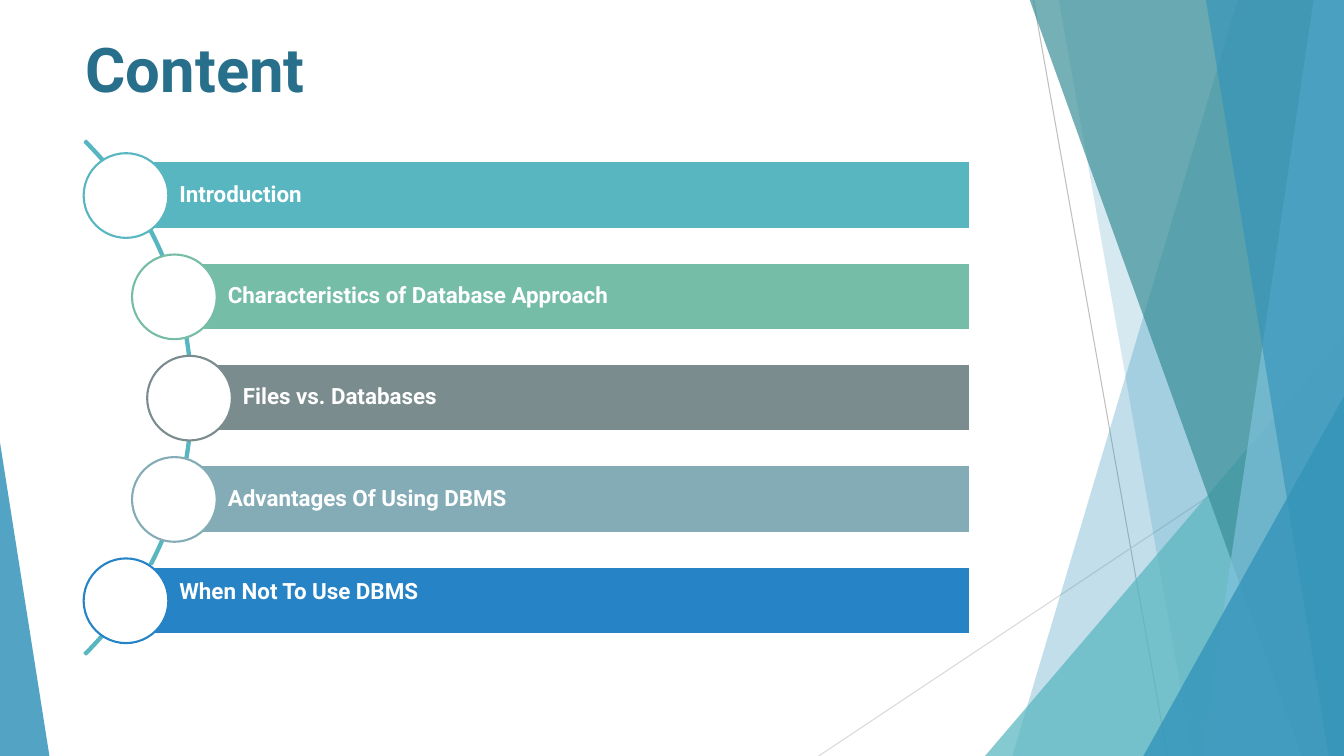
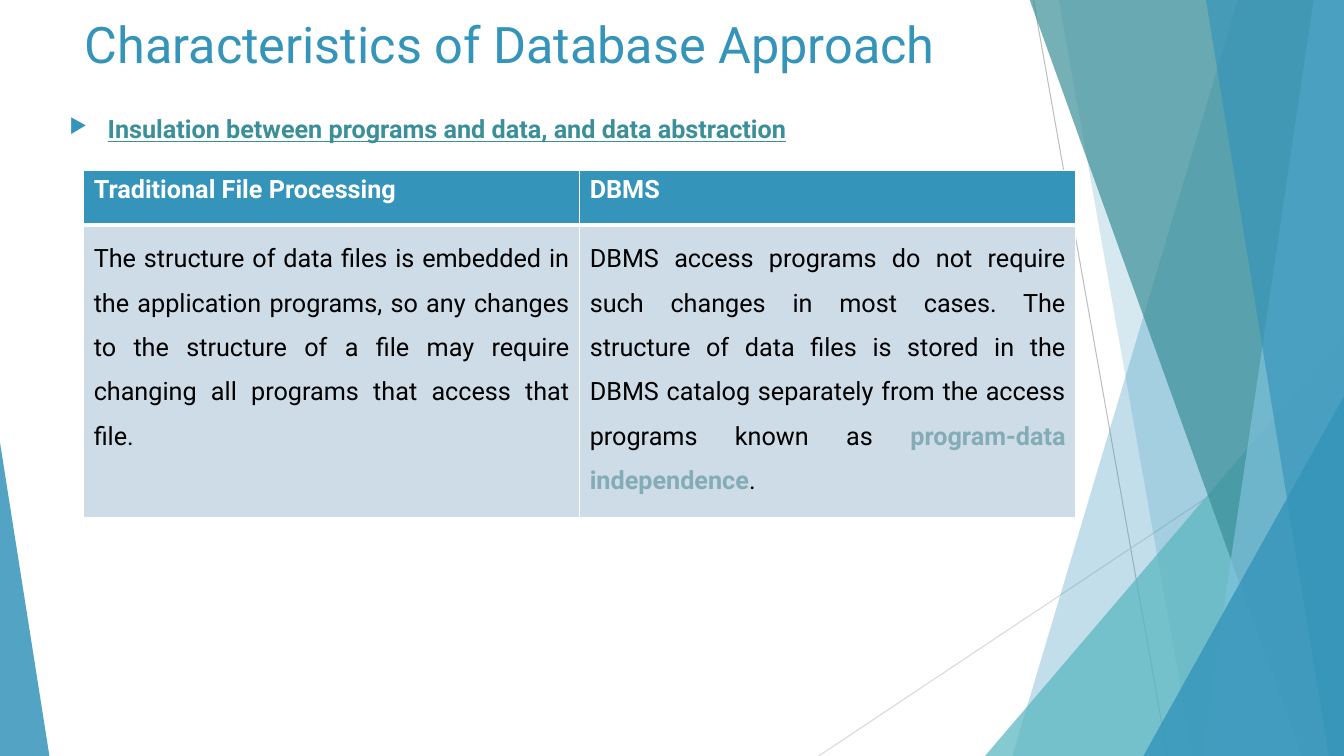
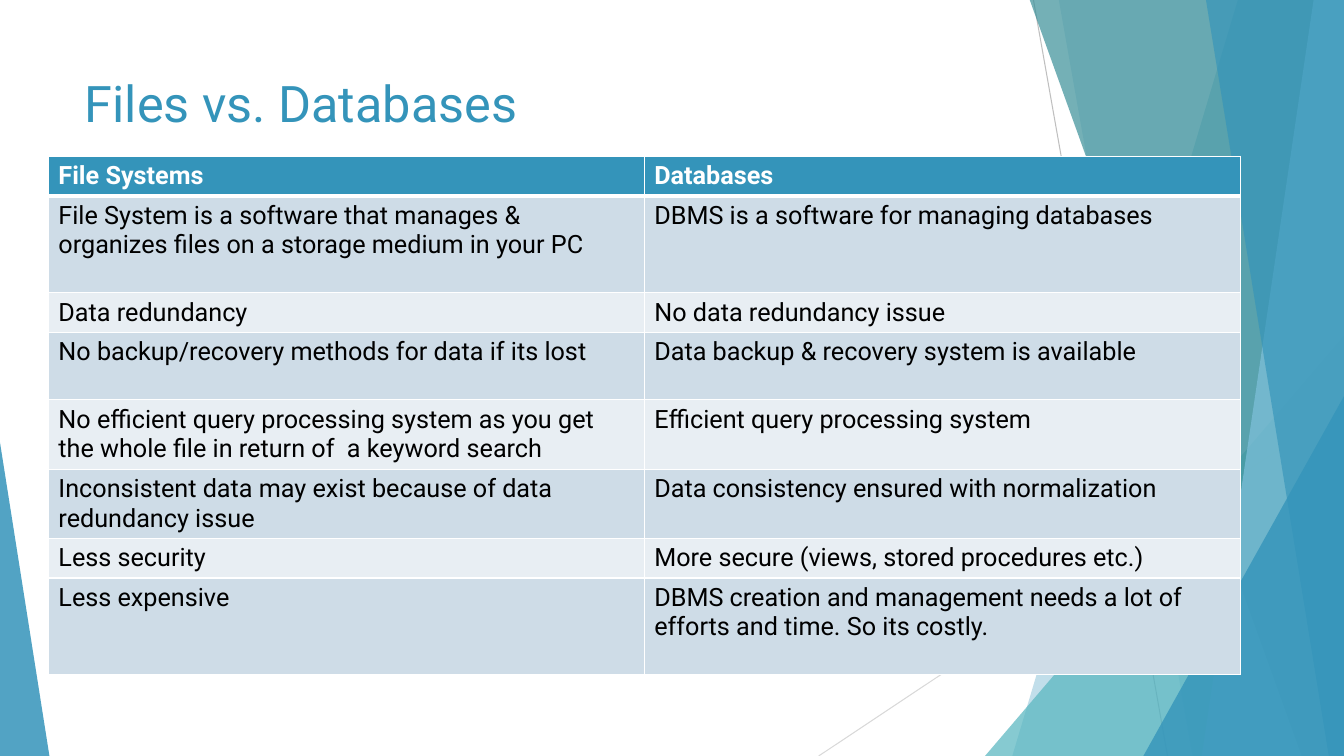
from dataclasses import dataclass
from typing import Any, Optional, Union

from lxml import etree
from pptx import Presentation
from pptx.dml.color import RGBColor
from pptx.enum.shapes import MSO_CONNECTOR, MSO_SHAPE
from pptx.enum.text import MSO_ANCHOR, MSO_AUTO_SIZE, PP_ALIGN
from pptx.oxml.ns import qn
from pptx.util import Inches, Pt

STRAIGHT = MSO_CONNECTOR.STRAIGHT
ARC = MSO_SHAPE.BLOCK_ARC
RECTANGLE = MSO_SHAPE.RECTANGLE
OVAL = MSO_SHAPE.OVAL
TRIANGLE = MSO_SHAPE.ISOSCELES_TRIANGLE
TOP, MIDDLE = MSO_ANCHOR.TOP, MSO_ANCHOR.MIDDLE
LEFT, JUSTIFY = PP_ALIGN.LEFT, PP_ALIGN.JUSTIFY
NO_AUTOFIT = MSO_AUTO_SIZE.NONE

SLIDE_WIDTH, SLIDE_HEIGHT = 13.33, 7.5
TITLE_ONLY = 5


@dataclass(frozen=True)
class Theme:
    """Colours, font and type sizes of the deck."""

    font: str = "Roboto"
    white: str = "FFFFFF"
    black: str = "000000"
    blue: str = "3494BA"
    dark_blue: str = "276F8B"
    light_blue: str = "7FC1DB"
    bright_blue: str = "2683C6"
    turquoise: str = "58B6C0"
    teal: str = "3A8F98"
    green: str = "75BDA7"
    slate: str = "7A8C8E"
    mist: str = "84ACB6"
    grey: str = "BFBFBF"
    pale_grey: str = "D9D9D9"
    bands: tuple[str, str] = ("CEDCE7", "E8EEF3")
    heading_size: float = 44
    title_size: float = 36
    body_size: float = 18
    agenda_size: float = 16


THEME = Theme()


@dataclass(frozen=True)
class Ray:
    """A thin line of the backdrop."""

    start: tuple[float, float]
    end: tuple[float, float]
    color: str


@dataclass(frozen=True)
class Facet:
    """A translucent full-height pane with its top and bottom edges."""

    top: tuple[float, float]
    bottom: tuple[float, float]
    color: str
    opacity: int


@dataclass(frozen=True)
class Wedge:
    """A translucent right triangle standing on the slide's lower edge."""

    left: float
    top: float
    width: float
    apex: float
    color: str
    opacity: int


@dataclass(frozen=True)
class AgendaItem:
    """One agenda bar with its circle."""

    text: str
    left: float
    color: str
    bottom_inset: float = 0.04


@dataclass(frozen=True)
class Comparison:
    """A two-column table with a header row."""

    left: float
    top: float
    column_width: float
    row_heights: tuple[float, ...]
    rows: tuple[tuple[str, str], ...]
    alignment: PP_ALIGN = LEFT
    line_spacing: Optional[float] = None
    emphasis: str = ""


BACKDROP: tuple[Union[Ray, Facet, Wedge], ...] = (
    Ray((10.25, 0), (11.58, SLIDE_HEIGHT), THEME.grey),
    Ray((SLIDE_WIDTH, 4.03), (8.12, SLIDE_HEIGHT), THEME.pale_grey),
    Facet((12.28, SLIDE_WIDTH), (10.04, SLIDE_WIDTH), THEME.blue, 30),
    Facet((10.5, SLIDE_WIDTH), (11.83, SLIDE_WIDTH), THEME.blue, 20),
    Wedge(9.77, 3.33, 3.56, 1, THEME.turquoise, 72),
    Facet((10.21, SLIDE_WIDTH), (12.91, SLIDE_WIDTH), THEME.teal, 70),
    Facet((13.03, SLIDE_WIDTH), (11.92, SLIDE_WIDTH), THEME.light_blue, 70),
    Facet((11.96, SLIDE_WIDTH), (13.18, SLIDE_WIDTH), THEME.blue, 65),
    Wedge(11.34, 3.93, 1.99, 1, THEME.blue, 80),
    Wedge(0, 4.39, 0.49, 0, THEME.blue, 85),
)

AGENDA = (
    AgendaItem("Introduction", 1.25, THEME.turquoise),
    AgendaItem("Characteristics of Database Approach", 1.73, THEME.green),
    AgendaItem("Files vs. Databases", 1.88, THEME.slate),
    AgendaItem("Advantages Of Using DBMS", 1.73, THEME.mist),
    AgendaItem("When Not To Use DBMS", 1.25, THEME.bright_blue, 0.2),
)

INSULATION = Comparison(
    left=0.83,
    top=1.69,
    column_width=4.92,
    row_heights=(0.54, 2.91),
    rows=(
        ("Traditional File Processing", "DBMS"),
        (
            "The structure of data files is embedded in the application programs, so any "
            "changes to the structure of a file may require changing all programs that "
            "access that file.",
            "DBMS access programs do not require such changes in most cases. The structure "
            "of data files is stored in the DBMS catalog separately from the access "
            "programs known as program-data independence.",
        ),
    ),
    alignment=JUSTIFY,
    line_spacing=1.5,
    emphasis="program-data independence",
)

FILES_DATABASES = Comparison(
    left=0.48,
    top=1.55,
    column_width=5.91,
    row_heights=(0.39, 0.96, 0.39, 0.67, 0.67, 0.67, 0.39, 0.96),
    rows=(
        ("File Systems", "Databases"),
        (
            "File System is a software that manages & organizes files on a storage medium in your PC",
            "DBMS is a software for managing databases",
        ),
        ("Data redundancy", "No data redundancy issue"),
        (
            "No backup/recovery methods for data if its lost",
            "Data backup & recovery system is available",
        ),
        (
            "No efficient query processing system as you get the whole file in return of  a keyword search",
            "Efficient query processing system",
        ),
        (
            "Inconsistent data may exist because of data redundancy issue",
            "Data consistency ensured with normalization",
        ),
        ("Less security", "More secure (views, stored procedures etc.)"),
        (
            "Less expensive",
            "DBMS creation and management needs a lot of efforts and time. So its costly.",
        ),
    ),
)


def rgb(color: str) -> RGBColor:
    """Turn a hexadecimal colour into a colour object."""
    return RGBColor.from_string(color)


def box(left: float, top: float, width: float, height: float) -> tuple[Inches, ...]:
    """Give a position and size as lengths."""
    return Inches(left), Inches(top), Inches(width), Inches(height)


def write_text(
    frame: Any,
    text: str,
    *,
    size: float = THEME.body_size,
    color: str = THEME.black,
    bold: bool = False,
    underline: bool = False,
    alignment: PP_ALIGN = LEFT,
    line_spacing: Optional[float] = None,
) -> None:
    """Append formatted text to the first paragraph of a frame."""
    paragraph = frame.paragraphs[0]
    paragraph.alignment = alignment
    paragraph.line_spacing = line_spacing
    run = paragraph.add_run()
    run.text = text
    run.font.name = THEME.font
    run.font.size = Pt(size)
    run.font.color.rgb = rgb(color)
    run.font.bold = bold
    run.font.underline = underline


def style_shape(
    shape: Any, *, fill: Optional[str] = None, line: Optional[str] = None, opacity: int = 100
) -> None:
    """Set the fill, outline and opacity of a shape without shadow."""
    shape.shadow.inherit = False
    if fill:
        shape.fill.solid()
        shape.fill.fore_color.rgb = rgb(fill)
        if opacity < 100:
            color = shape.element.spPr.find(qn("a:solidFill")).find(qn("a:srgbClr"))
            etree.SubElement(color, qn("a:alpha"), val=str(opacity * 1000))
    else:
        shape.fill.background()
    if line:
        shape.line.color.rgb = rgb(line)
        shape.line.width = Pt(1.5)
    else:
        shape.line.fill.background()


def draw_ray(slide: Any, ray: Ray) -> Any:
    """Draw a backdrop line."""
    points = [Inches(value) for value in ray.start + ray.end]
    connector = slide.shapes.add_connector(STRAIGHT, *points)
    connector.line.color.rgb = rgb(ray.color)
    connector.line.width = Pt(0.75)
    etree.SubElement(connector.element.spPr, qn("a:effectLst"))
    return connector


def draw_facet(slide: Any, facet: Facet) -> Any:
    """Draw a backdrop pane."""
    head, foot = Inches(-0.01), Inches(SLIDE_HEIGHT)
    top_left, top_right = map(Inches, facet.top)
    bottom_left, bottom_right = map(Inches, facet.bottom)
    builder = slide.shapes.build_freeform(top_left, head)
    builder.add_line_segments(
        [(top_right, head), (bottom_right, foot), (bottom_left, foot)], close=True
    )
    shape = builder.convert_to_shape()
    style_shape(shape, fill=facet.color, opacity=facet.opacity)
    return shape


def draw_wedge(slide: Any, wedge: Wedge) -> Any:
    """Draw a backdrop triangle."""
    height = SLIDE_HEIGHT - wedge.top
    shape = slide.shapes.add_shape(TRIANGLE, *box(wedge.left, wedge.top, wedge.width, height))
    shape.adjustments[0] = wedge.apex
    style_shape(shape, fill=wedge.color, opacity=wedge.opacity)
    return shape


def install_backdrop(slide: Any) -> None:
    """Draw the backdrop and move it into the slide's layout, behind everything."""
    painters = {Ray: draw_ray, Facet: draw_facet, Wedge: draw_wedge}
    layout_tree = slide.slide_layout.shapes.element
    for index, part in enumerate(BACKDROP):
        element = painters[type(part)](slide, part).element
        element.find(".//" + qn("p:cNvPr")).set("id", str(100 + index))
        layout_tree.insert(2 + index, element)


def add_title(
    slide: Any,
    text: str,
    left: float,
    top: float,
    width: float,
    height: float,
    **text_format: Any,
) -> None:
    """Place and fill the title placeholder."""
    title = slide.shapes.title
    title.left, title.top, title.width, title.height = box(left, top, width, height)
    frame = title.text_frame
    frame.word_wrap = True
    frame.auto_size = NO_AUTOFIT
    frame.vertical_anchor = TOP
    write_text(frame, text, **text_format)


def add_agenda(slide: Any, items: tuple[AgendaItem, ...]) -> None:
    """Draw the arc with evenly spaced bars and circles."""
    arc = slide.shapes.add_shape(ARC, *box(-5.3, 0.34, 7.21, 7.21))
    for index, value in enumerate((189, 27, 0.003)):
        arc.adjustments[index] = value
    style_shape(arc, line=THEME.turquoise)
    first_top, last_top, right = 1.6, 5.62, 9.62
    pitch = (last_top - first_top) / (len(items) - 1)
    for index, item in enumerate(items):
        top = first_top + index * pitch
        bar = slide.shapes.add_shape(RECTANGLE, *box(item.left, top, right - item.left, 0.67))
        style_shape(bar, fill=item.color, line=THEME.white)
        frame = bar.text_frame
        frame.word_wrap = True
        frame.vertical_anchor = MIDDLE
        frame.margin_left = Inches(0.53)
        frame.margin_top = frame.margin_right = Inches(0.04)
        frame.margin_bottom = Inches(item.bottom_inset)
        write_text(
            frame,
            item.text,
            size=THEME.agenda_size,
            color=THEME.white,
            bold=True,
            line_spacing=0.9,
        )
        circle = slide.shapes.add_shape(OVAL, *box(item.left - 0.42, top - 0.08, 0.84, 0.84))
        style_shape(circle, fill=THEME.white, line=item.color)


def add_bullet(slide: Any, text: str) -> None:
    """Add an underlined line with an arrowhead bullet."""
    text_box = slide.shapes.add_textbox(*box(0.59, 1.08, 10.62, 0.5))
    frame = text_box.text_frame
    frame.word_wrap = True
    properties = frame.paragraphs[0]._p.get_or_add_pPr()
    properties.set("marL", str(Inches(0.38)))
    properties.set("indent", str(Inches(-0.38)))
    bullet_color = etree.SubElement(properties, qn("a:buClr"))
    etree.SubElement(bullet_color, qn("a:srgbClr"), val=THEME.blue)
    etree.SubElement(properties, qn("a:buSzPct"), val="80000")
    etree.SubElement(properties, qn("a:buChar"), char="▶")
    write_text(frame, text, color=THEME.teal, bold=True, underline=True)


def style_cell(cell: Any, fill: str, bottom_width: float) -> None:
    """Give a cell white borders and a plain fill."""
    properties = cell._tc.get_or_add_tcPr()
    for side, width in (("L", 1), ("R", 1), ("T", 1), ("B", bottom_width)):
        border = etree.SubElement(properties, qn(f"a:ln{side}"), w=str(Pt(width)))
        solid = etree.SubElement(border, qn("a:solidFill"))
        etree.SubElement(solid, qn("a:srgbClr"), val=THEME.white)
    cell.fill.solid()
    cell.fill.fore_color.rgb = rgb(fill)


def add_comparison(slide: Any, comparison: Comparison) -> None:
    """Draw a comparison table with banded rows."""
    rows, columns = len(comparison.rows), len(comparison.rows[0])
    width, height = columns * comparison.column_width, sum(comparison.row_heights)
    table = slide.shapes.add_table(
        rows, columns, *box(comparison.left, comparison.top, width, height)
    ).table
    for column in table.columns:
        column.width = Inches(comparison.column_width)
    for row_index, texts in enumerate(comparison.rows):
        table.rows[row_index].height = Inches(comparison.row_heights[row_index])
        for column_index, text in enumerate(texts):
            cell = table.cell(row_index, column_index)
            if row_index == 0:
                style_cell(cell, THEME.blue, 3)
                write_text(cell.text_frame, text, color=THEME.white, bold=True)
                continue
            style_cell(cell, THEME.bands[(row_index - 1) % 2], 1)
            pieces = text.partition(comparison.emphasis) if comparison.emphasis else (text,)
            for piece in filter(None, pieces):
                emphasized = piece == comparison.emphasis
                write_text(
                    cell.text_frame,
                    piece,
                    color=THEME.mist if emphasized else THEME.black,
                    bold=emphasized,
                    alignment=comparison.alignment,
                    line_spacing=comparison.line_spacing,
                )


def main() -> None:
    """Build and save the deck."""
    presentation = Presentation()
    presentation.slide_width = Inches(SLIDE_WIDTH)
    presentation.slide_height = Inches(SLIDE_HEIGHT)
    layout = presentation.slide_layouts[TITLE_ONLY]
    content, insulation, files = (presentation.slides.add_slide(layout) for _ in range(3))
    install_backdrop(content)

    heading = {"size": THEME.heading_size, "color": THEME.dark_blue, "bold": True}
    title = {"size": THEME.title_size, "color": THEME.blue}

    add_title(content, "Content", 0.75, 0.26, 3.81, 1.01, **heading)
    add_agenda(content, AGENDA)

    add_title(insulation, "Characteristics of Database Approach", 0.74, 0.08, 9.4, 1.44, **title)
    add_bullet(insulation, "Insulation between programs and data, and data abstraction")
    add_comparison(insulation, INSULATION)

    add_title(files, "Files vs. Databases", 0.74, 0.67, 9.4, 1.44, **title)
    add_comparison(files, FILES_DATABASES)

    presentation.save("out.pptx")


if __name__ == "__main__":
    main()
